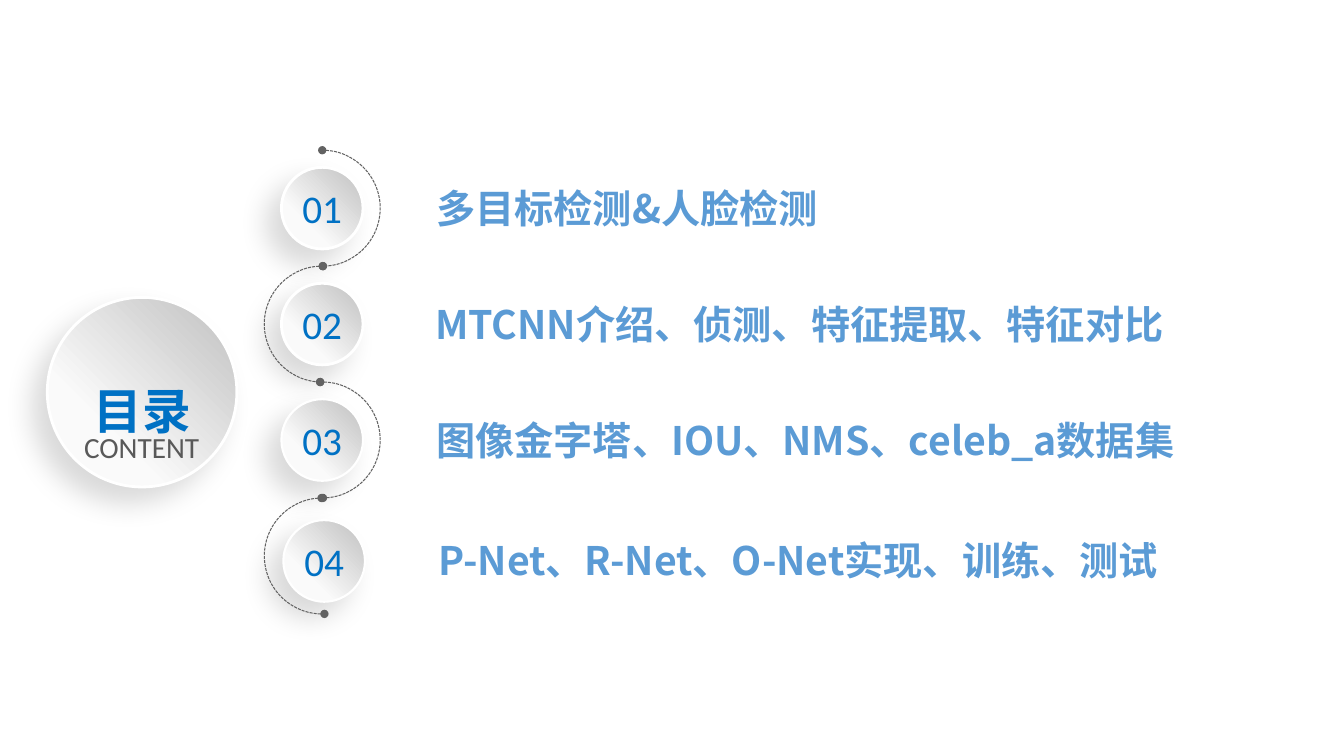
from lxml import etree
from pptx import Presentation
from pptx.dml.color import RGBColor
from pptx.enum.dml import MSO_LINE
from pptx.enum.shapes import MSO_SHAPE
from pptx.enum.text import MSO_ANCHOR, MSO_AUTO_SIZE, PP_ALIGN
from pptx.oxml import parse_xml
from pptx.oxml.ns import qn
from pptx.util import Pt

OVAL, ARC = MSO_SHAPE.OVAL, MSO_SHAPE.ARC
DASH = MSO_LINE.SQUARE_DOT
MIDDLE, TOP = MSO_ANCHOR.MIDDLE, MSO_ANCHOR.TOP
FIT = MSO_AUTO_SIZE.SHAPE_TO_FIT_TEXT
LEFT, CENTER = PP_ALIGN.LEFT, PP_ALIGN.CENTER
SANS, CJK = "Calibri", "Noto Sans CJK SC"
BLUE, SKY, GRAY, DARK = "0071C4", "5B9BD5", "595959", "626262"
NS = 'xmlns:a="http://schemas.openxmlformats.org/drawingml/2006/main"'
GRAD = f"""<a:gradFill {NS} rotWithShape="1"><a:gsLst>
<a:gs pos="0"><a:srgbClr val="FFFFFF"/></a:gs>
<a:gs pos="0"><a:srgbClr val="BFBFBF"/></a:gs>
<a:gs pos="70000"><a:srgbClr val="FAFAFA"/></a:gs>
</a:gsLst><a:lin ang="8100000" scaled="0"/></a:gradFill>"""
SHADE = f"""<a:effectLst {NS}><a:outerShdw blurRad="254000" dist="190500"
dir="8100000" algn="tr" rotWithShape="0"><a:srgbClr val="000000">
<a:alpha val="15000"/></a:srgbClr></a:outerShdw></a:effectLst>"""

deck = Presentation()
deck.slide_width, deck.slide_height = Pt(960), Pt(540)
slide = deck.slides.add_slide(deck.slide_layouts[6])
shapes = slide.shapes


def paint(color, hexa):
    color.rgb = RGBColor.from_string(hexa)


def write(text, x, y, w, h, size, hexa, face=SANS, bold=False, topic=False):
    box = shapes.add_textbox(Pt(x), Pt(y), Pt(w), Pt(h))
    frame = box.text_frame
    frame.word_wrap = topic
    frame.auto_size = FIT
    frame.vertical_anchor = TOP if topic else MIDDLE
    para = frame.paragraphs[0]
    para.text = text
    para.alignment = LEFT if topic else CENTER
    font = para.font
    font.size, font.bold, font.name = Pt(size), bold, face
    paint(font.color, hexa)
    props = para._p.get_or_add_pPr().get_or_add_defRPr()
    etree.SubElement(props, qn("a:ea")).set("typeface", CJK)
    return para


# Shaded discs: the large one, then one for each number
spots = [(201, 119.5), (201, 202.3), (201, 285.1), (202.4, 371.5)]
discs = [(33.8, 212.4, 135.4, 2)]
discs += [(x, y, 58.3, 2 if i < 2 else 1.5) for i, (x, y) in enumerate(spots)]
for x, y, size, width in discs:
    disc = shapes.add_shape(OVAL, Pt(x), Pt(y), Pt(size), Pt(size))
    disc.line.width = Pt(width)
    paint(disc.line.color, "FFFFFF")
    parts = disc._element.spPr
    parts.insert(2, parse_xml(GRAD))
    parts.append(parse_xml(SHADE))

# Numbers in the discs
for i, (x, y) in enumerate(spots, 1):
    write(f"{i:02}", x + 6.1, y + 8.7, 46.1, 41, 28, BLUE)

# Winding dashed path: arcs bulge right and left in turn
STEP = 82.8
bends = [(162, 53.57), (161.69, 52.82), (160.73, 53.57), (160.73, 53.57)]
for i, (start, end) in enumerate(bends):
    arc = shapes.add_shape(ARC, Pt(188.8), Pt(107.3 + STEP * i), Pt(STEP), Pt(STEP))
    arc.adjustments[0], arc.adjustments[1] = start, end
    arc.shadow.inherit = False
    arc.fill.background()
    arc.line.width = Pt(0.75)
    arc.line.dash_style = DASH
    paint(arc.line.color, DARK)
    stroke = arc.line._get_or_add_ln()
    for tag in ("a:headEnd", "a:tailEnd"):
        etree.SubElement(stroke, qn(tag)).set("type", "oval")
    if i == 1:
        arc._element.spPr.xfrm.set("flipH", "1")
    elif i == 3:
        arc.rotation = 180

# Heading in the large disc, raised by 12 percent
heads = [
    ("目录", 54, 236.2, 95, 71.3, 60, BLUE, True),
    ("CONTENT", 35.3, 283.7, 131.8, 45.4, 36, GRAY, False),
]
for text, x, y, w, h, size, hexa, bold in heads:
    para = write(text, x, y, w, h, size, hexa, bold=bold)
    para.line_spacing = 1.5
    para.runs[0]._r.get_or_add_rPr().set("baseline", "12000")

# Topics
topics = [
    ("多目标检测&人脸检测", 304.6, 128.2, 475),
    ("MTCNN介绍、侦测、特征提取、特征对比", 303.8, 211, 550),
    ("图像金字塔、IOU、NMS、celeb_a数据集", 304.6, 293.8, 608),
    ("P-Net、R-Net、O-Net实现、训练、测试", 306, 379.4, 563),
]
for text, x, y, w in topics:
    write(text, x, y, w, 41, 28, SKY, CJK, True, True)

deck.save("out.pptx")
